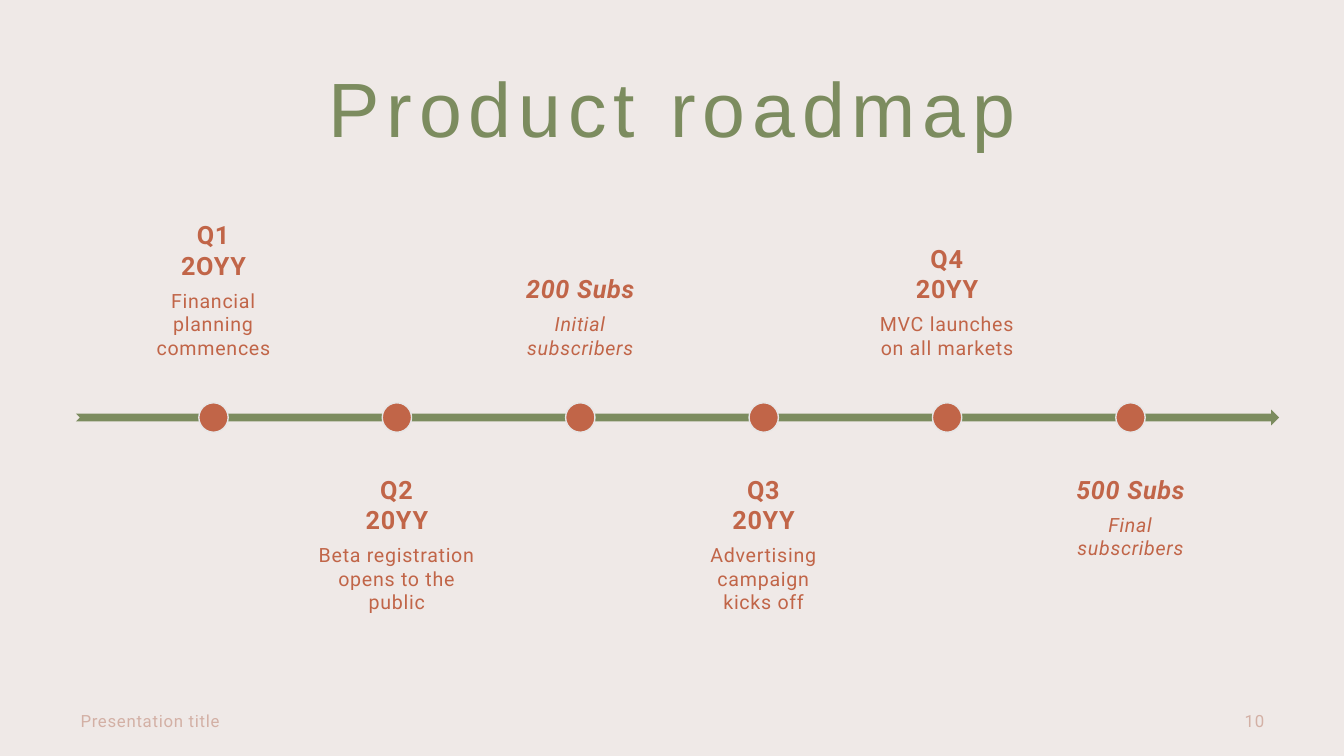
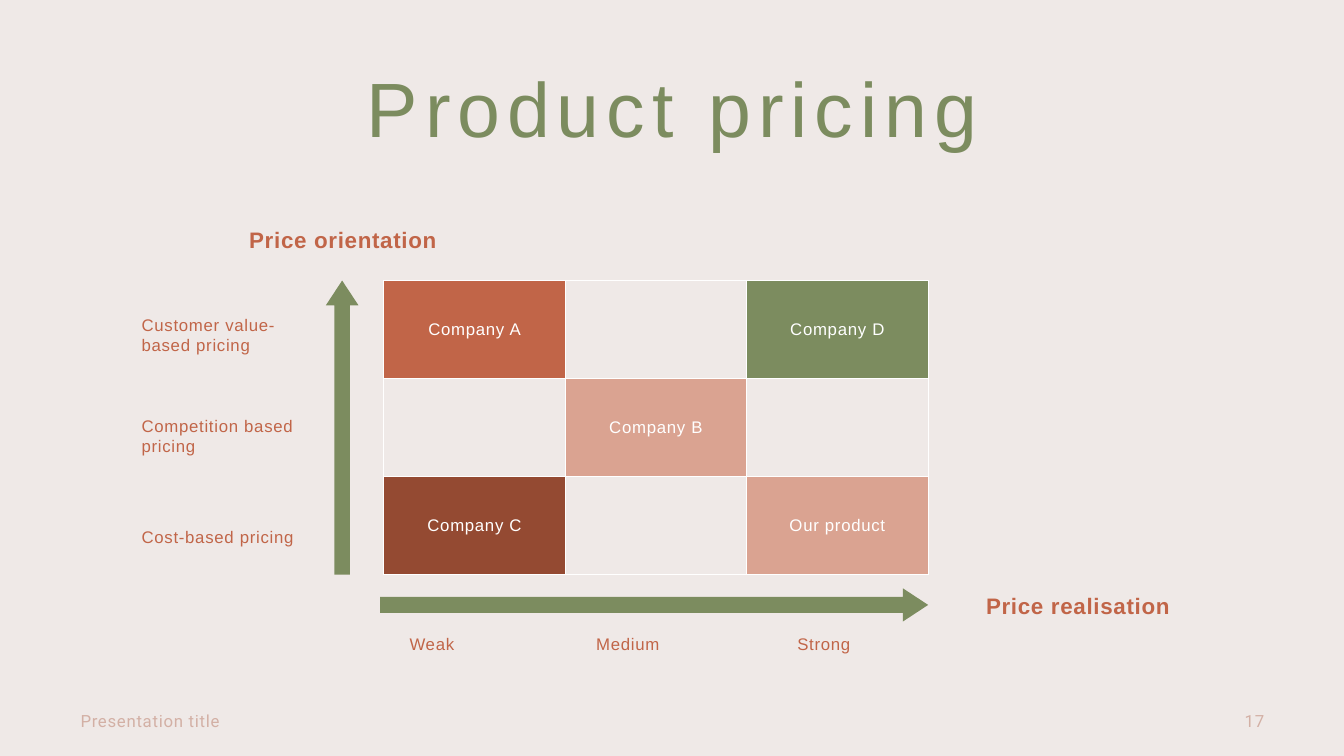
from dataclasses import dataclass

from lxml import etree
from pptx import Presentation
from pptx import util as u
from pptx.dml.color import RGBColor
from pptx.enum import shapes, text
from pptx.oxml import ns


@dataclass(frozen=True)
class Style:
    """Describe how a run of text looks."""
    font: str
    size: int
    color: str
    bold: bool = False
    italic: bool = False
    tracking: float = 0.5


class Theme:
    """Hold the colours and type styles of the deck."""
    ground = "EFE9E7"
    green = "7C8C5F"
    rust = "C16548"
    brick = "944A32"
    blush = "DAA391"
    white = "FFFFFF"
    ring = "E7E6E6"
    title = Style("Arial", 55, green, tracking=5)
    footer = Style("Roboto", 12, "D3B0A5")
    period = Style("Roboto", 18, rust, bold=True)
    event = Style("Roboto", 14, rust)
    target = Style("Roboto", 18, rust, bold=True, italic=True)
    target_note = Style("Roboto", 14, rust, italic=True)
    axis_name = Style("Arial", 16, rust, bold=True)
    axis_step = Style("Arial", 12, rust)
    cell = Style("Arial", 12, white)


@dataclass(frozen=True)
class Box:
    """Describe an area in inches that is divided into columns and rows."""
    left: float
    top: float
    width: float
    height: float
    columns: int = 1
    rows: int = 1

    def area(self, column, row, wide, tall, columns=1, rows=1):
        """Return the area that starts at a column and row of this box."""
        across, down = self.width / self.columns, self.height / self.rows
        return Box(self.left + column * across, self.top + row * down,
                   wide * across, tall * down, columns, rows)

    def place(self):
        """Return the position and size as lengths."""
        return [u.Inches(side) for side in (self.left, self.top, self.width, self.height)]


PAGE = Box(0, 0, 13.33, 7.5, 160, 90)
LEFT, CENTER, RIGHT = text.PP_ALIGN.LEFT, text.PP_ALIGN.CENTER, text.PP_ALIGN.RIGHT
TOP, MIDDLE, BOTTOM = (text.MSO_ANCHOR.TOP, text.MSO_ANCHOR.MIDDLE,
                       text.MSO_ANCHOR.BOTTOM)


def write(para, words, style, align):
    """Write words into a paragraph, one run for each line."""
    para.alignment = align
    for number, line in enumerate(words.split("\n")):
        if number:
            para.add_line_break()
        span = para.add_run()
        span.text = line
        font = span.font
        font.name, font.size = style.font, u.Pt(style.size)
        font.bold, font.italic = style.bold, style.italic
        font.color.rgb = RGBColor.from_string(style.color)
        span._r.get_or_add_rPr().set("spc", str(round(style.tracking * 100)))


def set_frame(frame, anchor, inset=None):
    """Set wrapping, anchor and insets of a text frame."""
    frame.word_wrap = True
    frame.auto_size = text.MSO_AUTO_SIZE.NONE
    frame.vertical_anchor = anchor
    if inset is not None:
        frame.margin_left = frame.margin_right = u.Inches(inset)
        frame.margin_top = frame.margin_bottom = u.Inches(inset)


def add_label(page, box, words, style, align=CENTER):
    """Add a vertically centred label."""
    frame = page.shapes.add_textbox(*box.place()).text_frame
    set_frame(frame, MIDDLE)
    write(frame.paragraphs[0], words, style, align)


def add_solid(page, kind, box, color, outline=None, adjustments=()):
    """Add a filled preset shape."""
    shape = page.shapes.add_shape(kind, *box.place())
    shape.shadow.inherit = False
    shape.fill.solid()
    shape.fill.fore_color.rgb = RGBColor.from_string(color)
    if outline:
        shape.line.color.rgb = RGBColor.from_string(outline)
        shape.line.width = u.Pt(1)
    else:
        shape.line.fill.background()
    for number, value in enumerate(adjustments):
        shape.adjustments[number] = value


def add_page(deck, title, number):
    """Add a slide with its title and footer."""
    page = deck.slides.add_slide(deck.slide_layouts[5])
    heading = page.shapes.title
    heading.left, heading.top, heading.width, heading.height = PAGE.area(
        8.4, 8.4, 143.3, 20.4).place()
    set_frame(heading.text_frame, TOP, 0)
    para = heading.text_frame.paragraphs[0]
    para.line_spacing = 0.9
    write(para, title, Theme.title, CENTER)
    add_label(page, PAGE.area(8.4, 83.4, 54, 4.8), "Presentation title",
              Theme.footer, LEFT)
    add_label(page, PAGE.area(115.7, 83.4, 36, 4.8), str(number), Theme.footer, RIGHT)
    return page


def add_milestone(page, box, anchor, heading, note, styles):
    """Add a heading and its note above or below the timeline."""
    frame = page.shapes.add_textbox(*box.place()).text_frame
    set_frame(frame, anchor, 0.14)
    para = frame.paragraphs[0]
    para.space_after = u.Pt(6)
    write(para, heading, styles[0], CENTER)
    write(frame.add_paragraph(), note, styles[1], CENTER)


def add_timeline(page, box, milestones):
    """Add the arrow, with milestones alternating above and below it."""
    add_solid(page, shapes.MSO_SHAPE.NOTCHED_RIGHT_ARROW,
              box.area(-0.25, 2.42, 6.56, 0.18), Theme.green)
    for number, (heading, note, wide, styles) in enumerate(milestones):
        middle = number + 0.5
        row, anchor = (3, TOP) if number % 2 else (0, BOTTOM)
        add_milestone(page, box.area(middle - wide / 2, row, wide, 2),
                      anchor, heading, note, styles)
        add_solid(page, shapes.MSO_SHAPE.OVAL,
                  box.area(middle - 0.08, 2.34, 0.16, 0.34), Theme.rust, Theme.ring)


def set_borders(cell, color):
    """Draw a one-point border round a table cell."""
    properties = cell._tc.get_or_add_tcPr()
    for number, side in enumerate(("a:lnL", "a:lnR", "a:lnT", "a:lnB")):
        line = etree.Element(ns.qn(side), w=str(u.Pt(1)))
        fill = etree.SubElement(line, ns.qn("a:solidFill"))
        etree.SubElement(fill, ns.qn("a:srgbClr"), val=color)
        properties.insert(number, line)


def add_matrix(page, box, entries):
    """Add the table, filling the named cells with their colours."""
    table = page.shapes.add_table(box.rows, box.columns, *box.place()).table
    table.first_row = table.horz_banding = False
    for row in range(box.rows):
        for column in range(box.columns):
            words, color = entries.get((row, column), ("", Theme.ground))
            cell = table.cell(row, column)
            cell.fill.solid()
            cell.fill.fore_color.rgb = RGBColor.from_string(color)
            cell.vertical_anchor = MIDDLE
            set_borders(cell, Theme.white)
            if words:
                write(cell.text_frame.paragraphs[0], words, Theme.cell, CENTER)


def add_axes(page, box, orientations, strengths):
    """Add both arrows and their labels round the matrix."""
    head = (0.48, 0.76)
    add_solid(page, shapes.MSO_SHAPE.UP_ARROW, box.area(-0.32, 0, 0.18, 3),
              Theme.green, adjustments=head)
    add_solid(page, shapes.MSO_SHAPE.RIGHT_ARROW, box.area(-0.02, 3.14, 3.02, 0.34),
              Theme.green, adjustments=head)
    for number, words in enumerate(orientations):
        add_label(page, box.area(-1.39, 0.3 + 1.03 * number, 0.98, 0.51),
                  words, Theme.axis_step, LEFT)
    for number, words in enumerate(strengths):
        add_label(page, box.area(-0.08 + 1.08 * number, 3.55, 0.69, 0.31),
                  words, Theme.axis_step)
    add_label(page, box.area(-0.97, -0.61, 1.49, 0.38), "Price orientation",
              Theme.axis_name)
    add_label(page, box.area(3, 3.13, 1.69, 0.38), "Price realisation ",
              Theme.axis_name)


def add_roadmap_page(deck):
    """Add the product roadmap slide."""
    page = add_page(deck, "Product roadmap", 10)
    quarter = (Theme.period, Theme.event)
    target = (Theme.target, Theme.target_note)
    add_timeline(page, PAGE.area(14.5, 23.8, 131, 51.6, 6, 5), [
        ("Q1\n2OYY", "Financial planning\ncommences", 1.05, quarter),
        ("Q2\n20YY", "Beta registration opens to the public", 1.02, quarter),
        ("200 Subs", "Initial\nsubscribers", 0.99, target),
        ("Q3\n20YY", "Advertising campaign\nkicks off", 0.91, quarter),
        ("Q4\n20YY", "MVC launches on all markets", 0.95, quarter),
        ("500 Subs", "Final\nsubscribers", 0.88, target),
    ])


def add_pricing_page(deck):
    """Add the product pricing slide."""
    page = add_page(deck, "Product pricing", 17)
    box = PAGE.area(45.7, 33.4, 64.8, 35, 3, 3)
    add_axes(page, box,
             ["Customer value-based pricing", "Competition based pricing",
              "Cost-based pricing"],
             ["Weak", "Medium", "Strong"])
    add_matrix(page, box, {
        (0, 0): ("Company A", Theme.rust),
        (0, 2): ("Company D", Theme.green),
        (1, 1): ("Company B", Theme.blush),
        (2, 0): ("Company C", Theme.brick),
        (2, 2): ("Our product", Theme.blush),
    })


def main():
    """Build and save the deck."""
    deck = Presentation()
    deck.slide_width, deck.slide_height = u.Inches(PAGE.width), u.Inches(PAGE.height)
    ground = deck.slide_master.background.fill
    ground.solid()
    ground.fore_color.rgb = RGBColor.from_string(Theme.ground)
    add_roadmap_page(deck)
    add_pricing_page(deck)
    deck.save("out.pptx")


if __name__ == "__main__":
    main()
